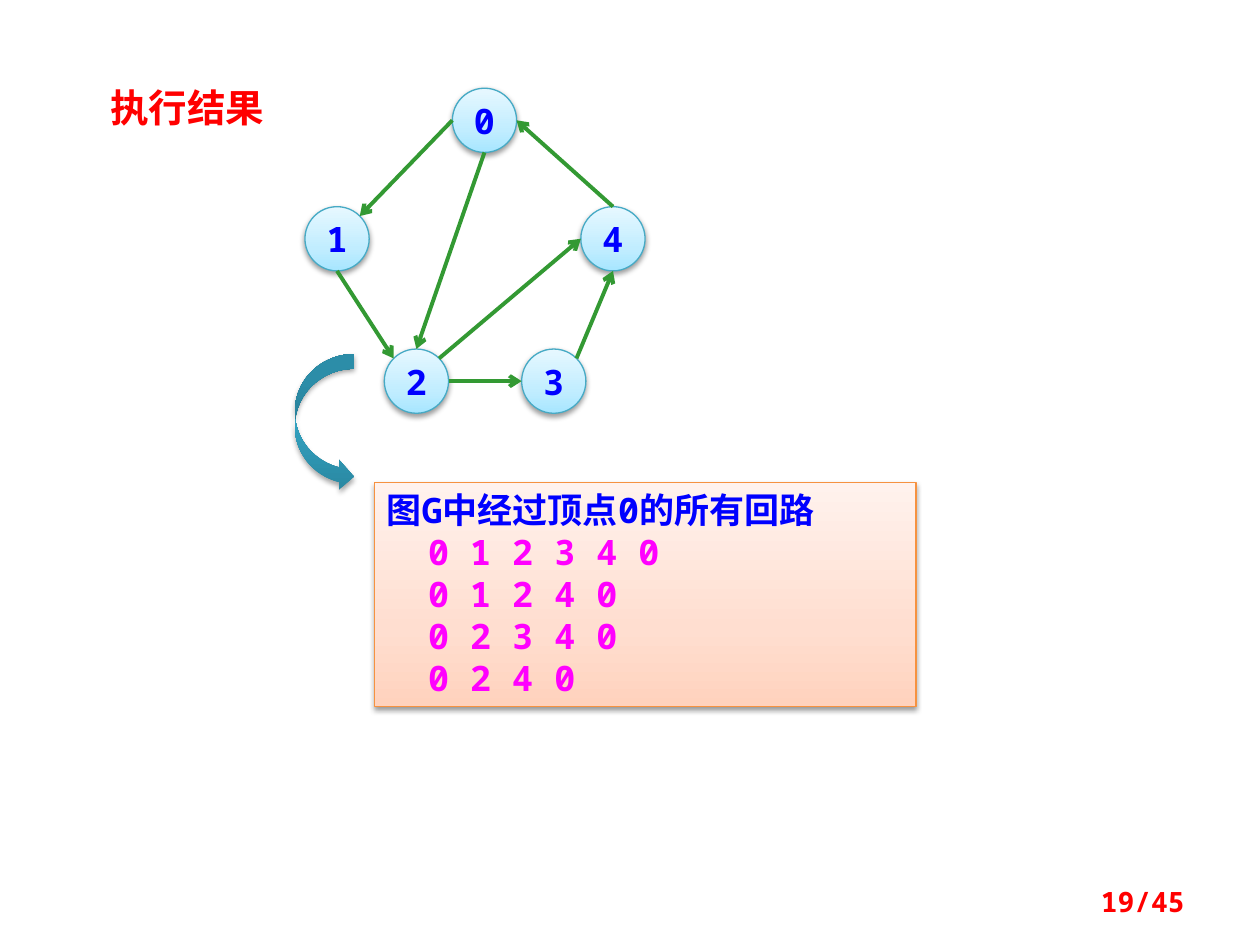
import math

import pptx
import pptx.dml.color
import pptx.enum.shapes
import pptx.enum.text
import pptx.oxml
import pptx.oxml.ns
import pptx.util
from lxml import etree

Inches, Pt = pptx.util.Inches, pptx.util.Pt
SHAPE = pptx.enum.shapes.MSO_SHAPE
ALIGN = pptx.enum.text.PP_ALIGN
ANCHOR = pptx.enum.text.MSO_ANCHOR
qn = pptx.oxml.ns.qn


def rgb(value):
    return pptx.dml.color.RGBColor.from_string(value)


class GraphSlide:
    MONO, CJK = "Noto Sans Mono", "Noto Sans CJK SC"
    BLUE, RED, MAGENTA, GREEN = "0000FF", "FF0000", "FF00FF", "339933"
    NODE = 0.51

    def __init__(self, prs):
        self.slide = prs.slides.add_slide(prs.slide_layouts[5])
        self.shapes = self.slide.shapes

    def run(self, p, text, size, color, font=MONO):
        r = p.add_run()
        r.text = text
        r.font.size, r.font.bold, r.font.name = Pt(size), True, font
        r.font.color.rgb = rgb(color)
        ea = etree.SubElement(r.font._element, qn("a:ea"))
        ea.set("typeface", self.CJK)

    def shape(self, shapes, kind, box, stops, line=None, alpha=38, dist=1.6):
        """Preset shape with an upward gradient and a soft shadow below it."""
        sp = shapes.add_shape(kind, *map(Inches, box))
        sp.fill.gradient()
        sp.fill.gradient_angle = 90
        props = sp._element.spPr
        gs_list = props.find(qn("a:gradFill")).find(qn("a:gsLst"))
        for gs in list(gs_list):
            gs_list.remove(gs)
        for pos, color in stops:
            gs = etree.SubElement(gs_list, qn("a:gs"), pos=str(pos * 1000))
            etree.SubElement(gs, qn("a:srgbClr"), val=color)
        if line:
            sp.line.color.rgb = rgb(line)
            sp.line.width = Pt(0.75)
        else:
            sp.line.fill.background()
        sp.shadow.inherit = False
        shadow = etree.SubElement(
            props.find(qn("a:effectLst")), qn("a:outerShdw"), blurRad=str(Pt(3.1)),
            dist=str(Pt(dist)), dir="5400000", rotWithShape="0")
        black = etree.SubElement(shadow, qn("a:srgbClr"), val="000000")
        etree.SubElement(black, qn("a:alpha"), val=str(alpha * 1000))
        return sp

    def node(self, shapes, label, left, top):
        stops = [(0, "A7E6FF"), (35, "C1EDFF"), (100, "E7F8FF")]
        sp = self.shape(shapes, SHAPE.OVAL, (left, top, self.NODE, self.NODE),
                        stops, "46AAC5")
        tf = sp.text_frame
        tf.margin_left = tf.margin_right = 0
        tf.vertical_anchor = ANCHOR.MIDDLE
        tf.paragraphs[0].alignment = ALIGN.CENTER
        self.run(tf.paragraphs[0], label, 20, self.BLUE)

    def rim(self, corner, angle):
        """Point on a node's rim, angle in degrees anticlockwise from the right."""
        radius, a = self.NODE / 2, math.radians(angle)
        return (Inches(corner[0] + radius * (1 + math.cos(a))),
                Inches(corner[1] + radius * (1 - math.sin(a))))

    def edge(self, shapes, start, end):
        cx = shapes.add_connector(pptx.enum.shapes.MSO_CONNECTOR.STRAIGHT,
                                  *start, *end)
        cx.line.color.rgb = rgb(self.GREEN)
        cx.line.width = Pt(2.25)
        etree.SubElement(cx.line._get_or_add_ln(), qn("a:tailEnd"), type="arrow")
        etree.SubElement(cx._element.spPr, qn("a:effectLst"))

    def result_box(self, heading, lines):
        stops = [(0, "FFD2BD"), (35, "FFDED0"), (100, "FFF2ED")]
        sp = self.shape(self.shapes, SHAPE.RECTANGLE, (2.97, 3.83, 4.3, 1.78),
                        stops, "F69240")
        tf = sp.text_frame
        tf.word_wrap = True
        tf.vertical_anchor = ANCHOR.TOP
        tf.paragraphs[0].alignment = ALIGN.LEFT
        self.run(tf.paragraphs[0], heading, 20, self.BLUE)
        for line in lines:
            p = tf.add_paragraph()
            p.alignment = ALIGN.LEFT
            p._p.get_or_add_pPr().set("marL", str(Inches(0.33)))
            self.run(p, line, 20, self.MAGENTA)

    def title(self, text):
        sp = self.shapes.title
        sp.left, sp.top, sp.width, sp.height = map(Inches, (0.47, 0.62, 2.03, 0.47))
        tf = sp.text_frame
        tf.word_wrap = True
        tf.vertical_anchor = ANCHOR.TOP
        tf.auto_size = pptx.enum.text.MSO_AUTO_SIZE.NONE
        tf.paragraphs[0].alignment = ALIGN.CENTER
        self.run(tf.paragraphs[0], text, 22, self.RED, self.CJK)

    def page_number(self, text):
        tf = self.shapes.add_textbox(*map(Inches, (7.17, 6.95, 2.33, 0.4))).text_frame
        tf.word_wrap = True
        tf.vertical_anchor = ANCHOR.MIDDLE
        tf.paragraphs[0].alignment = ALIGN.RIGHT
        self.run(tf.paragraphs[0], text, 16, self.RED)


def main():
    prs = pptx.Presentation()
    prs.slide_width, prs.slide_height = Inches(10), Inches(7.5)
    s = GraphSlide(prs)

    s.title("执行结果")
    s.result_box("图G中经过顶点0的所有回路",
                 ["0 1 2 3 4 0", "0 1 2 4 0", "0 2 3 4 0", "0 2 4 0"])

    # Directed graph: nodes by top-left corner, edges by rim angles
    nodes = {0: (3.59, 0.7), 3: (4.14, 2.77), 2: (3.05, 2.77),
             4: (4.61, 1.64), 1: (2.42, 1.64)}
    edges = [(0, 180, 1, 45), (1, 270, 2, 135), (2, 0, 3, 180), (3, 45, 4, 270),
             (4, 90, 0, 0), (0, 270, 2, 90), (2, 45, 4, 180)]
    graph = s.shapes.add_group_shape().shapes
    for label, corner in nodes.items():
        s.node(graph, str(label), *corner)
    for a, a_angle, b, b_angle in edges:
        s.edge(graph, s.rim(nodes[a], a_angle), s.rim(nodes[b], b_angle))

    # Arrow from the graph to its result
    s.shape(s.shapes, SHAPE.CURVED_RIGHT_ARROW, (2.34, 2.81, 0.47, 1.09),
            [(0, "2A88A2"), (80, "37B1D2"), (100, "34B4D6")], alpha=35, dist=1.8)

    s.page_number("19/45")
    prs.save("out.pptx")


if __name__ == "__main__":
    main()
